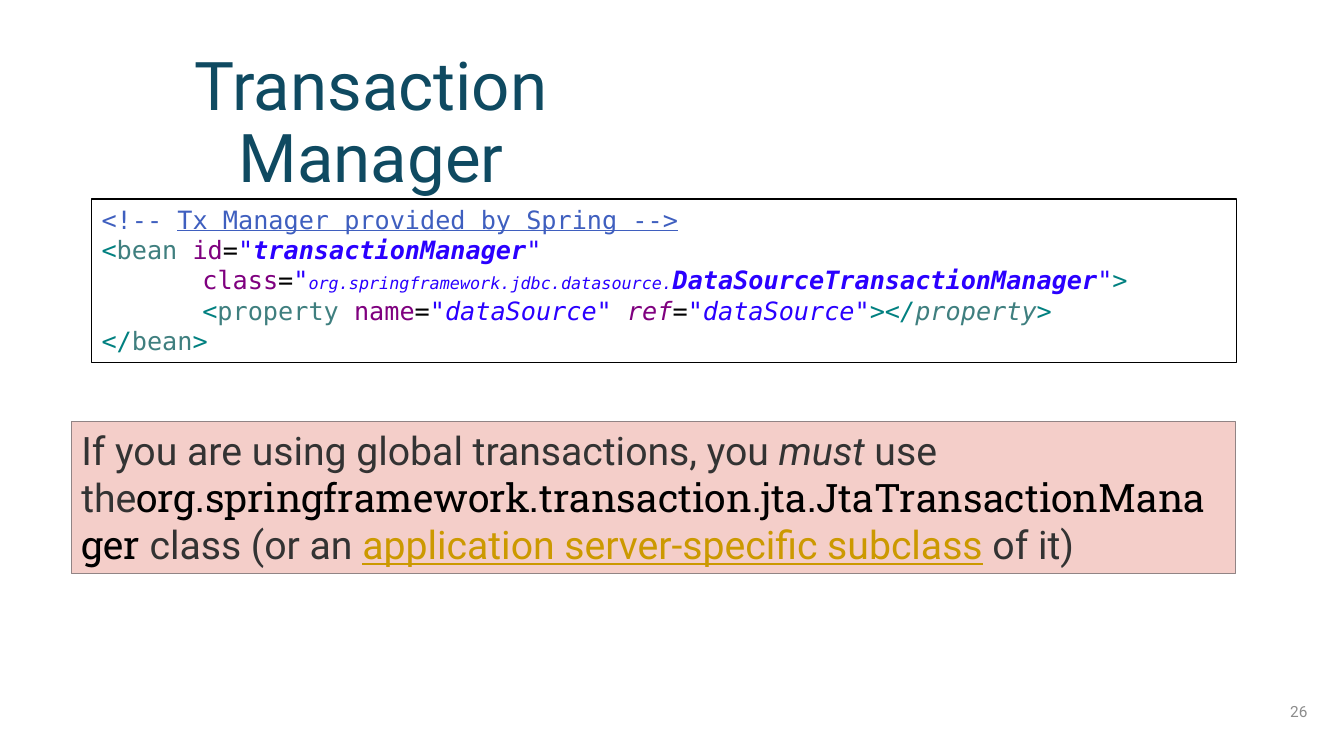
from dataclasses import dataclass

import pptx
import pptx.dml.color
import pptx.enum.shapes
import pptx.enum.text
import pptx.util

Cm, Pt = pptx.util.Cm, pptx.util.Pt
ALIGN, ANCHOR = pptx.enum.text.PP_ALIGN, pptx.enum.text.MSO_ANCHOR


@dataclass(frozen=True)
class Theme:
    sans: str = "Roboto"
    slab: str = "Roboto Slab"
    mono: str = "DejaVu Sans Mono"
    title_size: int = 48
    note_size: int = 28
    code_size: int = 18
    package_size: int = 12
    number_size: int = 11
    white: str = "FFFFFF"
    black: str = "000000"
    title: str = "0F4A61"
    number: str = "8C8C8C"
    comment: str = "3F5FBF"
    bracket: str = "008080"
    tag: str = "3F7F7F"
    attribute: str = "7F007F"
    value: str = "2A00FF"
    note: str = "333333"
    note_fill: str = "F4CEC9"
    note_line: str = "918485"
    link: str = "CC9900"


T = Theme()

# Each run is (text, colour, style letters b/i/u, optional font changes).
CODE = [
    (0, [("<!-- ", T.comment, ""),
         ("Tx Manager provided by Spring -->", T.comment, "u")]),
    (0, [("<", T.bracket, ""), ("bean ", T.tag, ""), ("id", T.attribute, ""),
         ("=", T.black, ""), ('"', T.value, "i"),
         ("transactionManager", T.value, "bi"), ('"', T.value, "i")]),
    (1, [("class", T.attribute, ""), ("=", T.black, ""), ('"', T.value, "i"),
         ("org.springframework.jdbc.datasource.", T.value, "i",
          {"size": Pt(T.package_size)}),
         ("DataSourceTransactionManager", T.value, "bi"),
         ('"', T.value, "i"), (">", T.bracket, "")]),
    (1, [("<", T.bracket, ""), ("property ", T.tag, ""),
         ("name", T.attribute, ""), ("=", T.black, ""),
         ('"dataSource" ', T.value, "i"), ("ref", T.attribute, "i"),
         ("=", T.black, "i"), ('"dataSource"', T.value, "i"),
         ("></", T.bracket, "i"), ("property", T.tag, "i"),
         (">", T.bracket, "i")]),
    (0, [("</", T.bracket, ""), ("bean", T.tag, ""), (">", T.bracket, "")]),
]

NOTE = [
    (0, [("If you are using global transactions, you ", T.note, ""),
         ("must", T.note, "i"), (" use the", T.note, ""),
         ("org.springframework.transaction.jta.JtaTransactionManager",
          T.black, "", {"name": T.slab}),
         (" class (or an ", T.note, ""),
         ("application server-specific subclass", T.link, "u"),
         (" of it)", T.note, "")]),
]


def rgb(color):
    return pptx.dml.color.RGBColor.from_string(color)


def place(sp, box):
    sp.left, sp.top, sp.width, sp.height = (Cm(v) for v in box)


def set_font(font, name, size, color=None):
    font.name, font.size = name, Pt(size)
    if color:
        font.color.rgb = rgb(color)


def add_run(p, text, color, style, changes=None):
    r = p.add_run()
    r.text = text
    r.font.color.rgb = rgb(color)
    if "b" in style:
        r.font.bold = True
    if "i" in style:
        r.font.italic = True
    if "u" in style:
        r.font.underline = True
    for key, value in (changes or {}).items():
        setattr(r.font, key, value)


def add_panel(s, box, fill, line, line_width, paragraphs, font, size):
    """Add a bordered rectangle of (indent level, runs) paragraphs."""
    sp = s.shapes.add_shape(pptx.enum.shapes.MSO_SHAPE.RECTANGLE,
                            *(Cm(v) for v in box))
    sp.shadow.inherit = False
    sp.fill.solid()
    sp.fill.fore_color.rgb = rgb(fill)
    sp.line.color.rgb = rgb(line)
    sp.line.width = Pt(line_width)
    tf = sp.text_frame
    tf.word_wrap = True
    tf.vertical_anchor = ANCHOR.TOP
    for i, (indent, runs) in enumerate(paragraphs):
        p = tf.add_paragraph() if i else tf.paragraphs[0]
        p.alignment = ALIGN.LEFT
        set_font(p.font, font, size)
        if indent:
            p._p.get_or_add_pPr().set("marL", str(Cm(2.54 * indent)))
        for run in runs:
            add_run(p, *run)


def set_title(s, text, box):
    sp = s.shapes.title
    place(sp, box)
    sp.fill.solid()
    sp.fill.fore_color.rgb = rgb(T.white)
    tf = sp.text_frame
    tf.text = text
    tf.word_wrap = True
    tf.auto_size = pptx.enum.text.MSO_AUTO_SIZE.NONE
    tf.vertical_anchor = ANCHOR.TOP
    p = tf.paragraphs[0]
    p.alignment = ALIGN.CENTER
    p.line_spacing = 0.9
    set_font(p.font, T.sans, T.title_size, T.title)


def add_number(s, text, box):
    tf = s.shapes.add_textbox(*(Cm(v) for v in box)).text_frame
    tf.word_wrap = True
    tf.vertical_anchor = ANCHOR.MIDDLE
    p = tf.paragraphs[0]
    p.text = text
    p.alignment = ALIGN.RIGHT
    set_font(p.font, T.sans, T.number_size, T.number)


def main():
    prs = pptx.Presentation()
    prs.slide_width, prs.slide_height = Cm(33.87), Cm(19.05)
    s = prs.slides.add_slide(prs.slide_layouts[5])
    set_title(s, "Transaction Manager", (1.8, 1.19, 15.11, 2.11))
    add_number(s, "26", (31.42, 17.42, 1.78, 1.02))
    add_panel(s, (2.31, 5.02, 28.85, 4.11), T.white, T.black, 1,
              CODE, T.mono, T.code_size)
    add_panel(s, (1.8, 10.62, 29.34, 3.84), T.note_fill, T.note_line, 0.5,
              NOTE, T.sans, T.note_size)
    prs.save("out.pptx")


if __name__ == "__main__":
    main()
